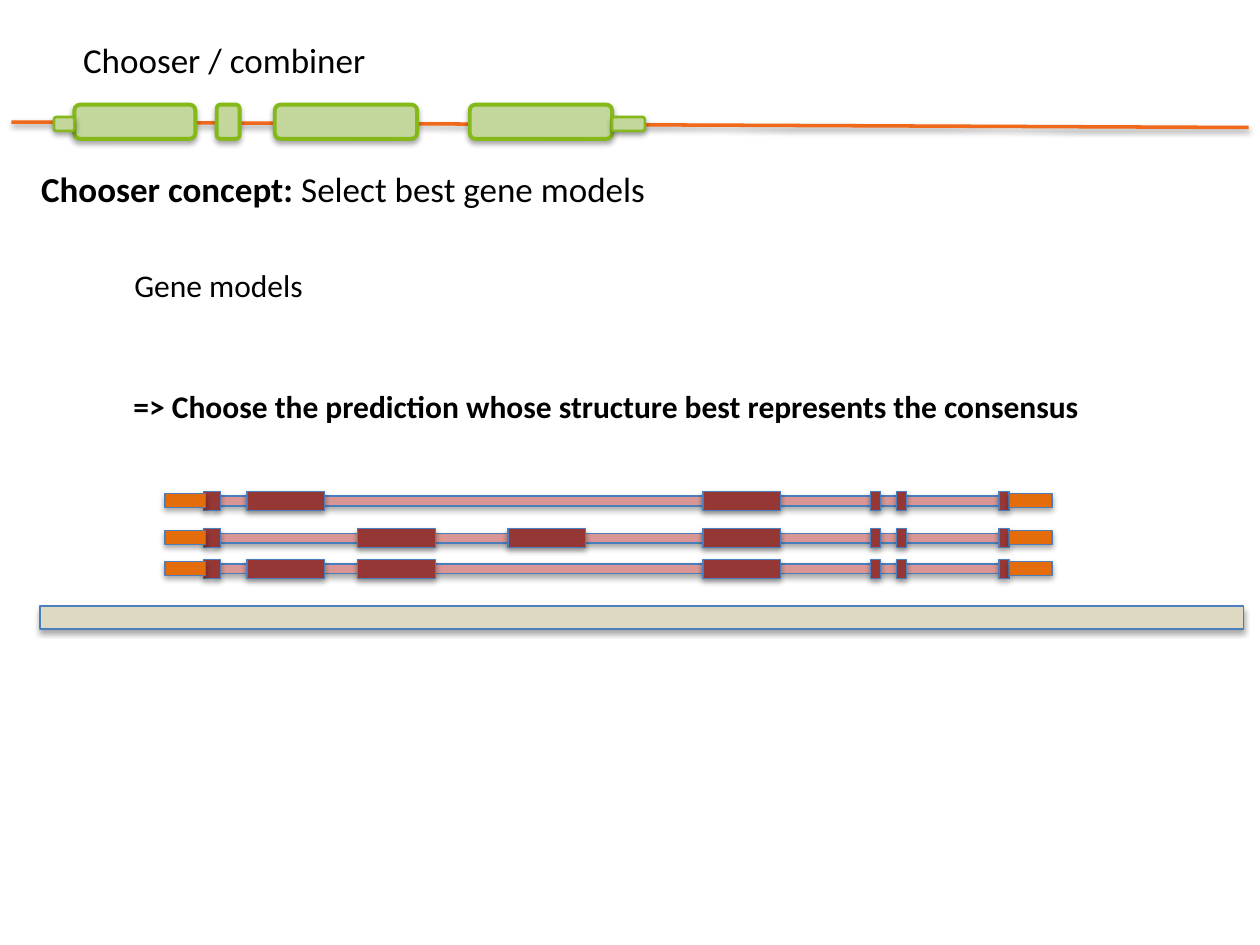
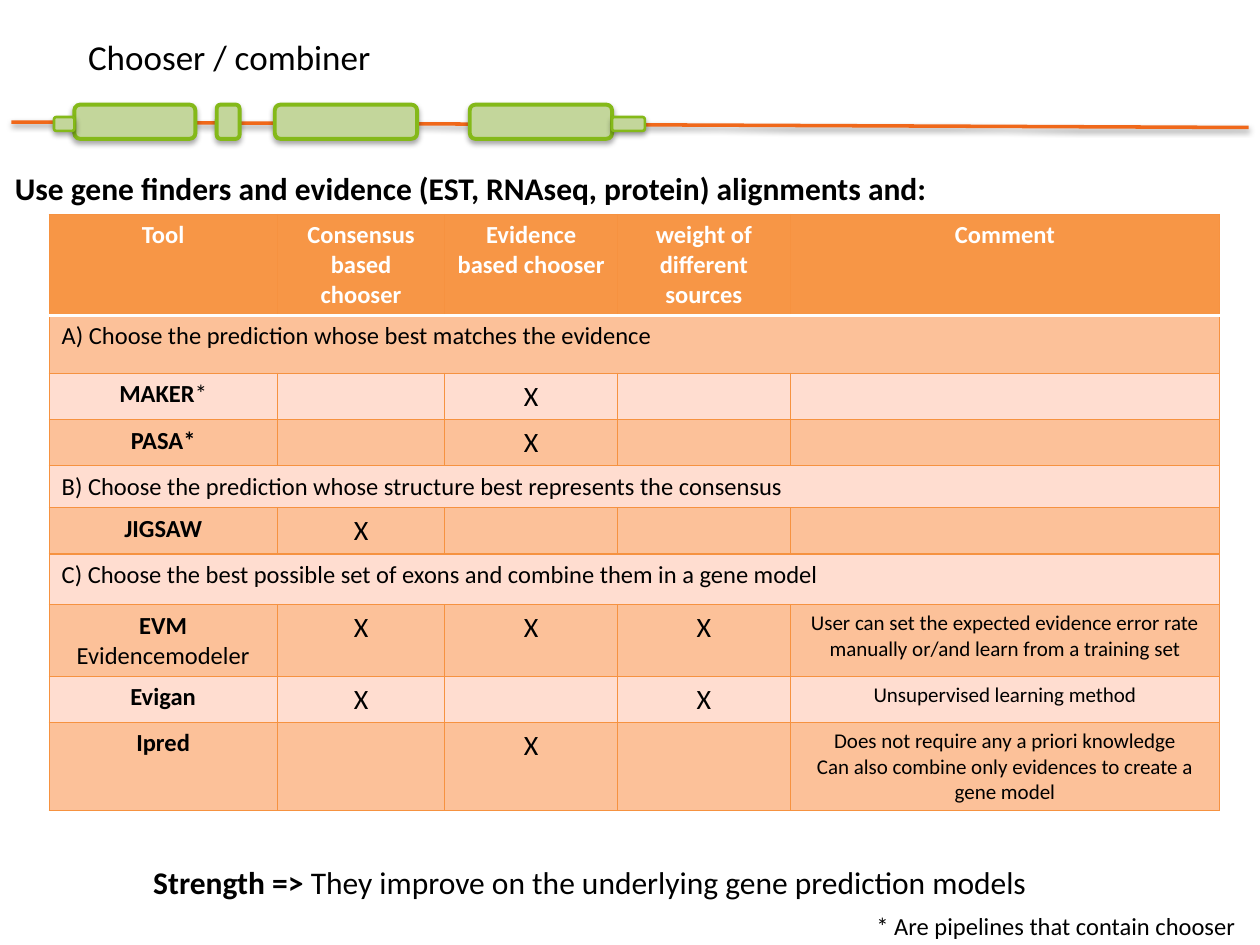
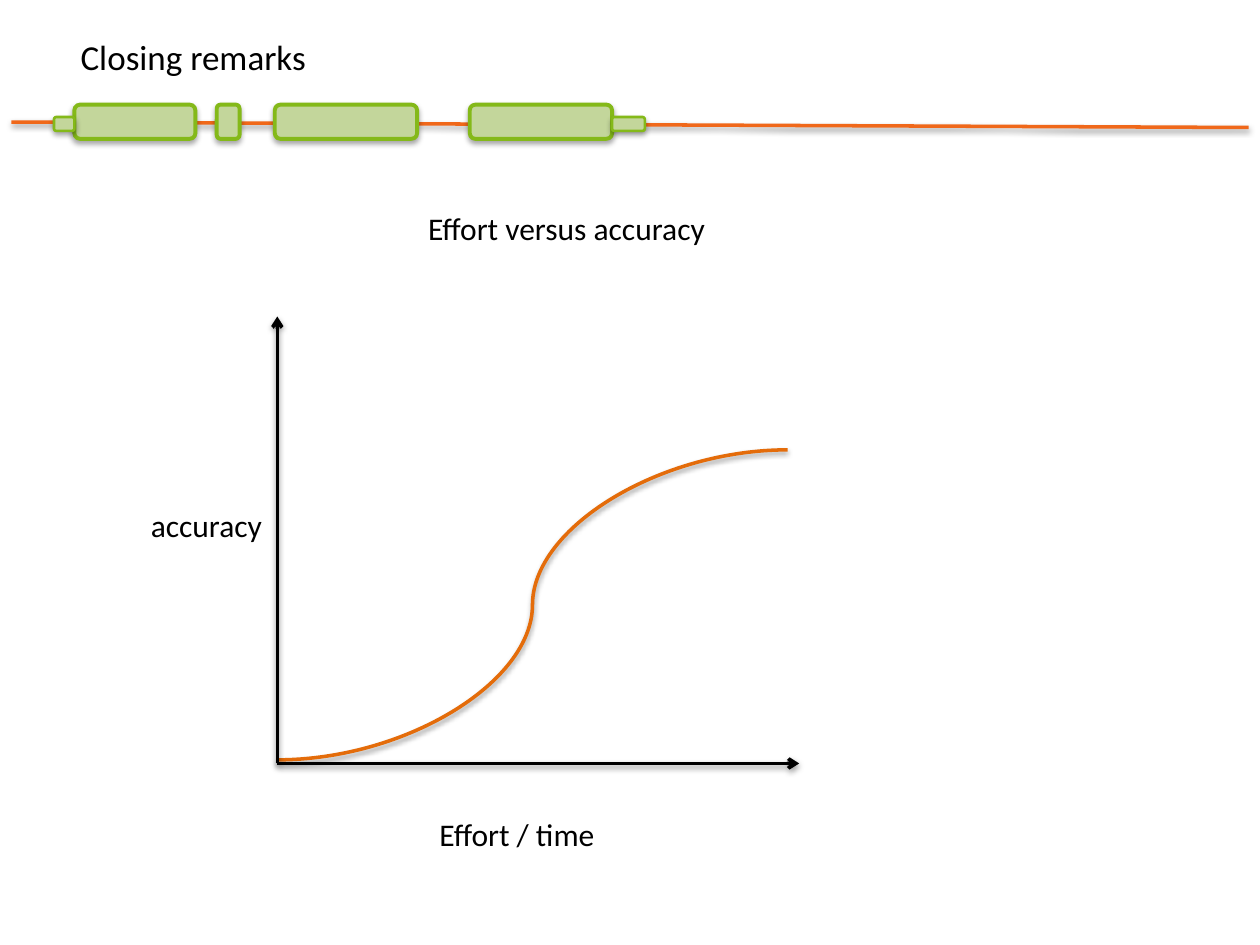
import pptx
import pptx.util
import pptx.dml.color
import pptx.enum.shapes
import pptx.enum.text
import pptx.oxml
import pptx.oxml.ns
from lxml import etree

Cm, Pt, qn = pptx.util.Cm, pptx.util.Pt, pptx.oxml.ns.qn
RECT = pptx.enum.shapes.MSO_SHAPE.RECTANGLE
ROUND = pptx.enum.shapes.MSO_SHAPE.ROUNDED_RECTANGLE
STRAIGHT = pptx.enum.shapes.MSO_CONNECTOR.STRAIGHT
CURVE = pptx.enum.shapes.MSO_CONNECTOR.CURVE
LEFT, CENTER = pptx.enum.text.PP_ALIGN.LEFT, pptx.enum.text.PP_ALIGN.CENTER
ANCHOR = pptx.enum.text.MSO_ANCHOR

FONT = "Calibri"
COLORS = {
    "black": "000000", "white": "FFFFFF",
    "strand": "F0681A", "gene": "C3D69B", "gene_line": "84B919",
    "genome": "DDD9C3", "intron": "D99694", "exon": "953735", "utr": "E46C0A",
    "model_line": "4B7EBC", "curve": "E46C0A",
    "header": "F79646", "dark_row": "FCC199", "light_row": "FFDDD0", "border": "F69240",
}

# Gene model tracks: (left, width) of each part within a track, in cm
EXON_SLOTS = {
    "first": (0.78, 0.33), "a": (1.65, 1.57), "b": (3.88, 1.57), "c": (6.91, 1.57),
    "d": (10.84, 1.57), "e": (14.22, 0.2), "f": (14.75, 0.2), "last": (16.81, 0.2),
}
TRACKS = [(0, "a"), (0.75, "bc"), (1.37, "ab")]  # top, exons that vary
UTRS = [(0, 0.81), (17.02, 0.86)]

# Tool table: text before a bar is bold, text after it is regular
HEADER = ["Tool|", "Consensus based chooser|", "Evidence based chooser|",
          "weight of different sources|", "Comment|"]
ROWS = [
    ["|A) Choose the prediction whose best matches the evidence"],
    ["MAKER|*", "", "|X", "", ""],
    ["PASA*|", "", "|X", "", ""],
    ["|B) Choose the prediction whose structure best represents the consensus"],
    ["JIGSAW|", "|X", "", "", ""],
    ["|C) Choose the best possible set of exons and combine them in a gene model"],
    ["EVM|\n|Evidencemodeler", "|X", "|X", "|X",
     "|User can set the expected evidence error rate manually or/and learn from a training set"],
    ["Evigan|", "|X", "", "|X", "|Unsupervised learning method"],
    ["Ipred|", "", "|X", "",
     "|Does not require any a priori knowledge\n"
     "|Can also combine only evidences to create a gene model"],
]
COL_WIDTHS = [4.6, 3.38, 3.48, 3.48, 8.66]
ROW_HEIGHTS = [1.88, 1.17, 0.81, 0.79, 0.79, 0.86, 1.02, 1.32, 0.86, 1.65]


def rgb(name):
    return pptx.dml.color.RGBColor.from_string(COLORS[name])


def add_shadow(sp, dist, alpha):
    """Soft shadow straight below a shape or connector."""
    sp._element.spPr.append(pptx.oxml.parse_xml(
        f'<a:effectLst {pptx.oxml.ns.nsdecls("a")}>'
        f'<a:outerShdw blurRad="40000" dist="{dist}" dir="5400000" rotWithShape="0">'
        f'<a:srgbClr val="000000"><a:alpha val="{alpha}"/></a:srgbClr>'
        '</a:outerShdw></a:effectLst>'))


def add_box(shapes, kind, x, y, w, h, fill, line, width):
    sp = shapes.add_shape(kind, Cm(x), Cm(y), Cm(w), Cm(h))
    sp.fill.solid()
    sp.fill.fore_color.rgb = rgb(fill)
    sp.line.color.rgb = rgb(line)
    sp.line.width = Pt(width)
    add_shadow(sp, 23000, 35000)
    return sp


def add_line(shapes, kind, x1, y1, x2, y2, color, arrow=False):
    cxn = shapes.add_connector(kind, Cm(x1), Cm(y1), Cm(x2), Cm(y2))
    cxn.line.color.rgb = rgb(color)
    cxn.line.width = Pt(2)
    if arrow:
        ln = cxn._element.spPr.find(qn("a:ln"))
        etree.SubElement(ln, qn("a:tailEnd"), type="arrow")
    add_shadow(cxn, 20000, 38000)


def write(tf, text, size, color="black", align=LEFT):
    """Fill a text frame from bar-marked lines."""
    tf.text = text.replace("|", "")
    for p, line in zip(tf.paragraphs, text.split("\n")):
        p.text = ""
        p.alignment = align
        bold, _, regular = line.partition("|")
        for part, is_bold in ((bold, True), (regular, False)):
            if part:
                r = p.add_run()
                r.text = part
                r.font.name, r.font.size, r.font.bold = FONT, Pt(size), is_bold
                r.font.color.rgb = rgb(color)


def add_text(slide, text, x, y, w, h, size=18):
    tf = slide.shapes.add_textbox(Cm(x), Cm(y), Cm(w), Cm(h)).text_frame
    tf.word_wrap = True
    write(tf, text, size)


def add_gene_band(slide, x, y):
    """Gene drawing under the title, with its strand line."""
    shapes = slide.shapes
    add_line(shapes, STRAIGHT, x, y + 0.35, x + 24.94, y + 0.46, "strand")
    for left, w in [(1.27, 2.44), (4.14, 0.46), (5.31, 2.87), (9.24, 2.87)]:
        add_box(shapes, ROUND, x + left, y, w, 0.69, "gene", "gene_line", 2.25)
    for left, w in [(12.11, 0.66), (0.86, 0.41)]:
        add_box(shapes, ROUND, x + left, y + 0.25, w, 0.28, "gene", "gene_line", 1.5)


def new_slide(prs, title, x, y):
    slide = prs.slides.add_slide(prs.slide_layouts[5])
    add_gene_band(slide, 0.23, 2.11)
    sp = slide.shapes.title
    sp.left, sp.top, sp.width, sp.height = Cm(x), Cm(y), Cm(6.6), Cm(1.12)
    tf = sp.text_frame
    tf.vertical_anchor = ANCHOR.MIDDLE
    write(tf, "|" + title, 20)
    return slide


def add_track(slide, x, y, varying):
    """One gene model: intron bar, exons, then the two end regions."""
    shapes = slide.shapes.add_group_shape().shapes
    parts = [("intron", 0.09, 0.2, (1.01, 15.8))]
    parts += [("exon", 0, 0.38, EXON_SLOTS[key])
              for key in [*varying, "d", "e", "f", "last", "first"]]
    parts += [("utr", 0.04, 0.28, slot) for slot in UTRS]
    for color, top, h, (left, w) in parts:
        add_box(shapes, RECT, x + left, y + top, w, h, color, "model_line", 0.75)


def add_gene_models(slide, x, y):
    add_box(slide.shapes, RECT, x - 2.52, y + 2.31, 24.26, 0.46,
            "genome", "model_line", 0.75)
    for top, varying in reversed(TRACKS):
        add_track(slide, x, y + top, varying)


def style_cell(cell, fill, edges):
    """Borders first, then the fill, as the cell properties require."""
    tcPr = cell._tc.get_or_add_tcPr()
    for side in "LRTB":
        color, width = edges.get(side, ("border", 0.75))
        ln = etree.SubElement(tcPr, qn(f"a:ln{side}"), w=str(Pt(width)))
        solid = etree.SubElement(ln, qn("a:solidFill"))
        etree.SubElement(solid, qn("a:srgbClr"), val=COLORS[color])
    cell.fill.solid()
    cell.fill.fore_color.rgb = rgb(fill)


def write_cell(cell, text, size, color, align):
    if text:
        write(cell.text_frame, text, size, color, align)
    else:
        p = cell.text_frame.paragraphs[0]
        etree.SubElement(p._p, qn("a:endParaRPr"), sz="1400")


def add_tool_table(slide, x, y):
    rows = [HEADER] + ROWS
    table = slide.shapes.add_table(
        len(rows), len(HEADER), Cm(x), Cm(y),
        Cm(sum(COL_WIDTHS)), Cm(sum(ROW_HEIGHTS))).table
    for col, w in zip(table.columns, COL_WIDTHS):
        col.width = Cm(w)
    for row, h in zip(table.rows, ROW_HEIGHTS):
        row.height = Cm(h)
    header_rule = ("white", 2)
    for i, texts in enumerate(rows):
        fill = "header" if i == 0 else "dark_row" if i % 2 else "light_row"
        edges = {0: {"B": header_rule}, 1: {"T": header_rule}}.get(i, {})
        for j in range(len(HEADER)):
            style_cell(table.cell(i, j), fill, edges)
        is_section = len(texts) == 1
        if is_section:
            table.cell(i, 0).merge(table.cell(i, len(HEADER) - 1))
        for j, text in enumerate(texts):
            size = 16 if text == "|X" else 12 if i and j == 4 else 14
            write_cell(table.cell(i, j), text, size,
                       "black" if i else "white", LEFT if is_section else CENTER)


def add_effort_graph(slide, x, y, w, h):
    """Axes with arrowheads and an S-shaped curve."""
    shapes = slide.shapes
    add_line(shapes, CURVE, x, y + h - 0.07, x + w - 0.23, y + 2.69, "curve")
    add_line(shapes, STRAIGHT, x, y + h, x, y, "black", arrow=True)
    add_line(shapes, STRAIGHT, x, y + h, x + w, y + h, "black", arrow=True)
    add_text(slide, "|Effort versus accuracy", x + 2.79, y - 2.29, 6.5, 1.02)
    add_text(slide, "|Effort / time", x + 3.02, y + h + 0.92, 4.62, 1.02)
    add_text(slide, "|accuracy", x - 2.8, y + 3.7, 2.9, 1.02)


def build_concept(prs):
    slide = new_slide(prs, "Chooser / combiner", 1.42, 0.64)
    add_text(slide, "Chooser concept: |Select best gene models", 0.58, 3.25, 13.5, 1.12, 20)
    add_text(slide, "|Gene models", 2.46, 5.23, 4.5, 1.02)
    add_text(slide, "=> Choose the prediction whose structure best represents the consensus|",
             2.44, 7.67, 20.5, 1.02)
    add_gene_models(slide, 3.33, 9.91)


def build_tools(prs):
    slide = new_slide(prs, "Chooser / combiner", 1.52, 0.58)
    add_text(slide, "Use gene finders and evidence (EST, RNAseq, protein) alignments and:|",
             0.05, 3.28, 22.2, 1.02)
    add_tool_table(slide, 0.99, 4.32)
    add_text(slide, "Strength => |They improve on the underlying gene prediction models",
             2.84, 17.27, 18.64, 1.02)
    add_text(slide, "|* Are pipelines that contain chooser", 17.42, 18.24, 7.9, 0.8, 14)


def build_closing(prs):
    slide = new_slide(prs, "Closing remarks", 1.37, 0.58)
    add_effort_graph(slide, 5.59, 6.38, 10.52, 9.01)


def main():
    prs = pptx.Presentation()
    prs.slide_width, prs.slide_height = Cm(25.4), Cm(19.05)
    for build in (build_concept, build_tools, build_closing):
        build(prs)
    prs.save("out.pptx")


if __name__ == "__main__":
    main()
